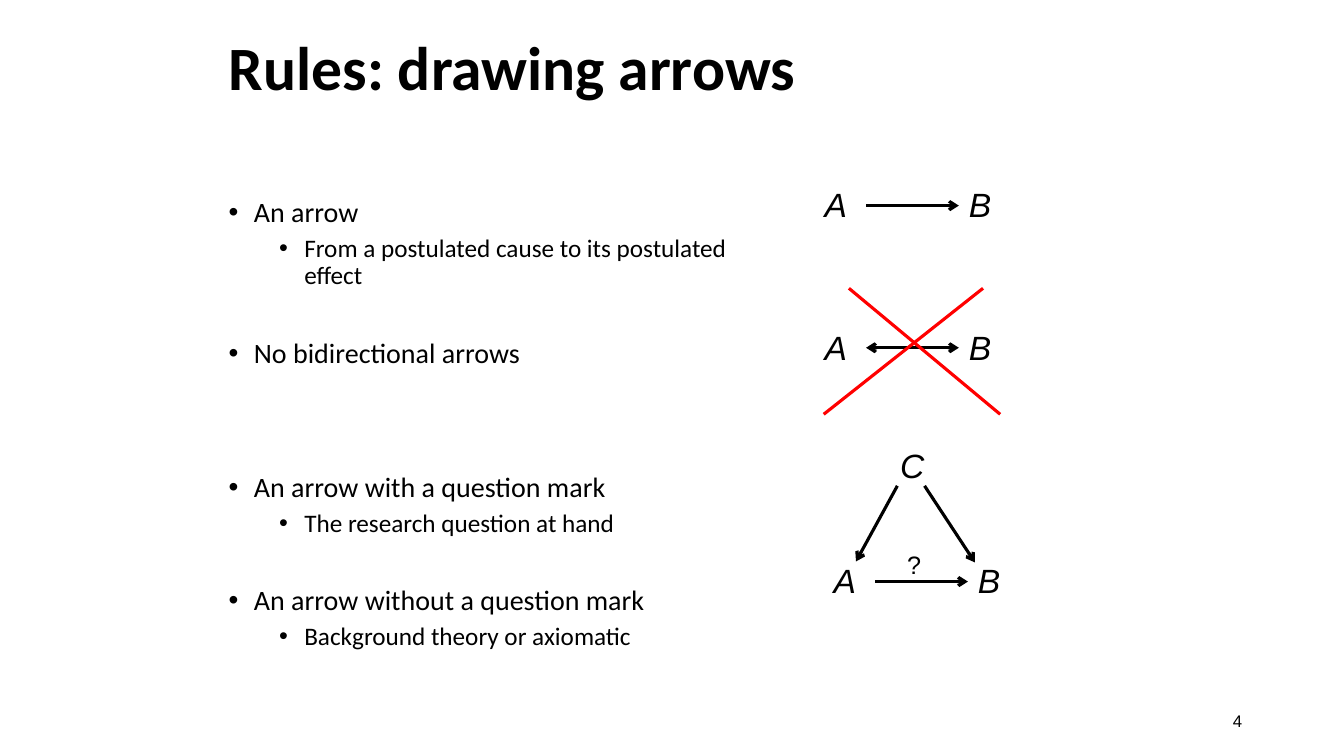
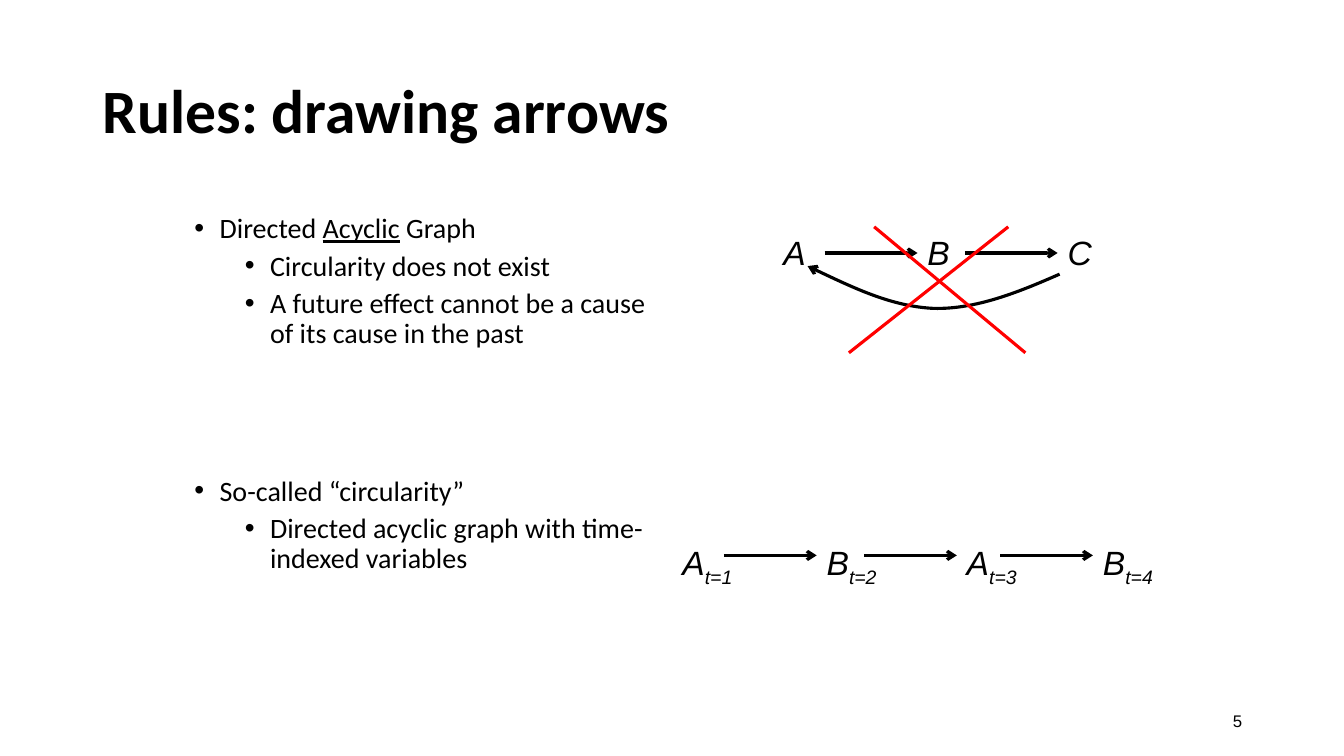
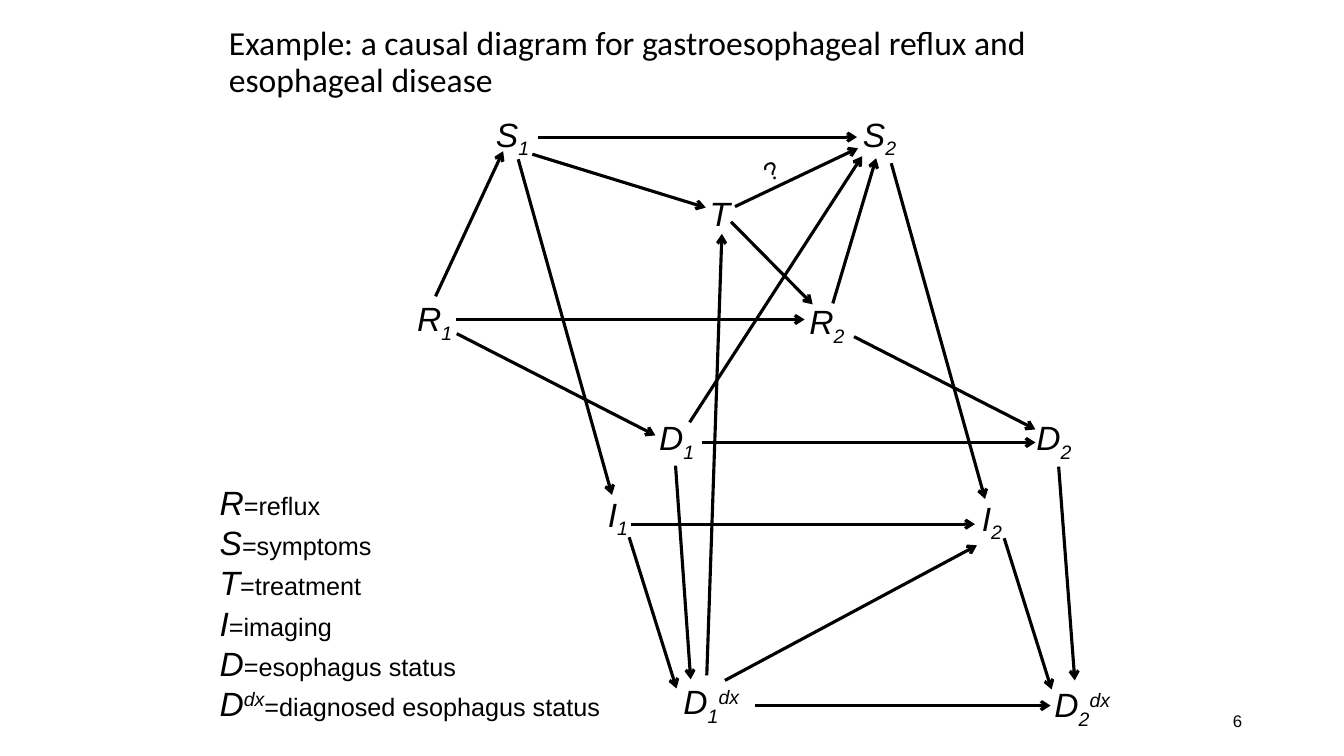
from dataclasses import dataclass
from lxml import etree
from pptx import Presentation
from pptx.dml.color import RGBColor
from pptx.enum.shapes import MSO_CONNECTOR
from pptx.enum.text import MSO_ANCHOR, MSO_AUTO_SIZE, PP_ALIGN
from pptx.oxml.ns import qn
from pptx.util import Inches, Pt

LEFT, RIGHT = PP_ALIGN.LEFT, PP_ALIGN.RIGHT
TOP, MIDDLE = MSO_ANCHOR.TOP, MSO_ANCHOR.MIDDLE
FIXED, GROW = MSO_AUTO_SIZE.NONE, MSO_AUTO_SIZE.SHAPE_TO_FIT_TEXT
STRAIGHT = MSO_CONNECTOR.STRAIGHT


@dataclass(frozen=True)
class Theme:
    ink: RGBColor = RGBColor(0, 0, 0)
    red: RGBColor = RGBColor(255, 0, 0)
    head: str = "Calibri"
    plain: str = "Arial"
    title: int = 44
    node: int = 24
    body: int = 20
    note: int = 18
    foot: int = 12
    stroke: float = 2.25
    pitch: float = 0.9


THEME = Theme()
SUB = {"shift": -25}
SUP = {"shift": 30}


def write(frame, *lines, size, font=THEME.plain, bold=False, italic=False,
          align=LEFT, anchor=TOP, wrap=False, pitch=None):
    frame.word_wrap = wrap
    frame.auto_size = FIXED if wrap else GROW
    frame.vertical_anchor = anchor
    for index, line in enumerate(lines):
        para = frame.add_paragraph() if index else frame.paragraphs[0]
        para.alignment = align
        if pitch:
            para.line_spacing = pitch
        for words, style in [(line, {})] if isinstance(line, str) else line:
            run = para.add_run()
            run.text = words
            run.font.name = font
            run.font.size = Pt(style.get("size", size))
            run.font.bold = bold
            run.font.italic = style.get("italic", italic)
            run.font.underline = style.get("under", False)
            run.font.color.rgb = THEME.ink
            if "shift" in style:
                run.font._element.set("baseline", str(style["shift"] * 1000))
    return frame.paragraphs


def box(slide, x, y, wide, high, *lines, **style):
    shape = slide.shapes.add_textbox(*map(Inches, (x, y, wide, high)))
    write(shape.text_frame, *lines, **style)
    return shape


def stroke(shape, color=THEME.ink, ends=()):
    shape.line.color.rgb = color
    shape.line.width = Pt(THEME.stroke)
    props = shape._element.spPr
    for end in ends:
        etree.SubElement(props.find(qn("a:ln")), qn("a:" + end), type="arrow")
    if props.find(qn("a:effectLst")) is None:
        etree.SubElement(props, qn("a:effectLst"))


def rule(slide, x1, y1, x2, y2, color=THEME.ink, ends=("tailEnd",)):
    line = slide.shapes.add_connector(STRAIGHT, *map(Inches, (x1, y1, x2, y2)))
    stroke(line, color, ends)


def cross(slide, x, y):
    rule(slide, x + 0.25, y, x + 1.75, y + 1.25, THEME.red, ())
    rule(slide, x + 1.58, y, x, y + 1.25, THEME.red, ())


def node(slide, x, y, name, sub="", sup="", wide=0.42):
    runs = [(name, {}), (sub, SUB), (sup, SUP)]
    box(slide, x, y, wide, 0.51, [run for run in runs if run[0]],
        size=THEME.node, italic=True)


def chain(slide, y, names, places, drop=0.26, wide=0.42, ends=("tailEnd",)):
    for name, x in zip(names, places):
        node(slide, x, y, *name, wide=wide)
    for x in places[1:]:
        rule(slide, x - 0.92, y + drop, x, y + drop, ends=ends)


def query(slide, x, y, turn=0):
    mark = box(slide, x, y, 0.34, 0.4, "?", size=THEME.note)
    mark.rotation = turn


def page(deck, number, title, x, y, wide, high, size=THEME.title, bold=True):
    slide = deck.slides.add_slide(deck.slide_layouts[5])
    head = slide.shapes.title
    head.left, head.top, head.width, head.height = map(Inches, (x, y, wide, high))
    write(head.text_frame, title, size=size, font=THEME.head, bold=bold,
          anchor=MIDDLE, wrap=True, pitch=THEME.pitch)
    box(slide, 9.42, 6.95, 3, 0.4, str(number), size=THEME.foot,
        align=RIGHT, anchor=MIDDLE, wrap=True)
    return slide


def outline(slide, x, y, wide, high, items, small):
    lines = []
    for level, gap, words in items:
        runs = [(words, {})] if isinstance(words, str) else words
        size = small if level else THEME.body
        lines.append([(part, {"size": size, **style}) for part, style in runs])
    shape = box(slide, x, y, wide, high, *lines, size=THEME.body,
                font=THEME.head, wrap=True, pitch=THEME.pitch)
    for (level, gap, words), para in zip(items, shape.text_frame.paragraphs):
        para.level = level
        para.space_before = Pt(gap)
        props = para._p.get_or_add_pPr()
        props.set("marL", str(Inches(0.25 + 0.5 * level)))
        props.set("indent", str(Inches(-0.25)))
        etree.SubElement(props, qn("a:buFont"), typeface=THEME.plain)
        etree.SubElement(props, qn("a:buChar"), char="•")


def bend(slide, x, y):
    spots = [(2.09, 0.26), (1.67, 0.43), (1.25, 0.42),
             (0.84, 0.4), (0.42, 0.2), (0, 0)]
    points = [(Inches(x + dx), Inches(y + dy)) for dx, dy in spots]
    form = slide.shapes.build_freeform(Inches(x + 2.5), Inches(y + 0.08))
    form.add_line_segments(points, close=False)
    shape = form.convert_to_shape()
    shape.shadow.inherit = False
    shape.fill.background()
    track = next(shape._element.iter(qn("a:path")))
    steps = track.findall(qn("a:lnTo"))
    for start in range(0, len(steps), 3):
        curve = etree.SubElement(track, qn("a:cubicBezTo"))
        for step in steps[start:start + 3]:
            curve.append(step[0])
            track.remove(step)
    stroke(shape, ends=("tailEnd",))


def fork(slide, x, y):
    chain(slide, y + 1.15, "AB", (x, x + 1.43))
    node(slide, x + 0.66, y, "C", wide=0.44)
    rule(slide, x + 0.73, y + 0.46, x + 0.32, y + 1.21)
    rule(slide, x + 1, y + 0.46, x + 1.5, y + 1.22)
    query(slide, x + 0.73, y + 1.04)


def graph(slide, x, y):
    nodes = [
        (0.04, 1.91, 0.57, "R", "1"), (3.93, 1.94, 0.57, "R", "2"),
        (0.82, 0.08, 0.55, "S", "1"), (4.46, 0.08, 0.55, "S", "2"),
        (2.44, 3.09, 0.57, "D", "1"), (6.18, 3.09, 0.57, "D", "2"),
        (1.93, 3.85, 0.42, "I", "1"), (5.64, 3.89, 0.42, "I", "2"),
        (2.68, 5.71, 0.81, "D", "1", "dx"), (6.36, 5.74, 0.81, "D", "2", "dx"),
        (2.94, 0.86, 0.41, "T"),
    ]
    arrows = [
        (0.32, 1.94, 0.99, 0.5), (1.14, 0.58, 2.07, 3.91),
        (0.53, 2.31, 2.5, 3.32), (3.25, 1.2, 4.06, 2.02),
        (2.7, 3.62, 2.85, 5.74), (2.24, 4.33, 2.71, 5.83),
        (3.49, 6, 6.42, 6), (3.19, 5.75, 5.69, 4.41),
        (4.26, 2.01, 4.69, 0.57), (1.34, 0.36, 4.5, 0.36),
        (0.52, 2.17, 3.98, 2.17), (1.28, 0.53, 3, 1.06),
        (2.96, 3.39, 6.27, 3.39), (4.47, 2.34, 6.27, 3.26),
        (2.26, 4.2, 5.67, 4.2), (4.84, 0.62, 5.77, 3.95),
        (5.96, 4.34, 6.43, 5.84), (6.5, 3.63, 6.66, 5.75),
        (3.01, 5.7, 3.16, 1.32), (3.29, 1.05, 4.51, 0.47),
        (2.84, 3.19, 4.55, 0.55),
    ]
    for dx, dy, wide, *name in nodes:
        node(slide, x + dx, y + dy, *name, wide=wide)
    for x1, y1, x2, y2 in arrows:
        rule(slide, x + x1, y + y1, x + x2, y + y2)
    query(slide, x + 3.48, y + 0.49, 332.8)


def legend(slide, x, y, wide, high):
    terms = [("R", "", "reflux"), ("S", "", "symptoms"), ("T", "", "treatment"),
             ("I", "", "imaging"), ("D", "", "esophagus status"),
             ("D", "dx", "diagnosed esophagus status")]
    lines = []
    for name, sup, sense in terms:
        mark = [(sup, SUP)] if sup else []
        sense = ("=" + sense, {"size": THEME.note, "italic": False})
        lines.append([(name, {}), *mark, sense])
    box(slide, x, y, wide, high, *lines, size=THEME.node, italic=True)


def arrows(deck):
    slide = page(deck, 4, "Rules: drawing arrows", 2.17, 0.08, 9, 1.25)
    outline(slide, 2.17, 1.92, 5.33, 5, [
        (0, 10, "An arrow"),
        (1, 5, "From a postulated cause to its postulated effect"),
        (0, 35, "No bidirectional arrows"),
        (0, 74, "An arrow with a question mark"),
        (1, 5, "The research question at hand"),
        (0, 35, "An arrow without a question mark"),
        (1, 5, "Background theory or axiomatic"),
    ], THEME.note)
    chain(slide, 1.78, "AB", (8.08, 9.51))
    chain(slide, 3.19, "AB", (8.08, 9.51), ends=("headEnd", "tailEnd"))
    cross(slide, 8.17, 2.86)
    fork(slide, 8.17, 4.36)


def cycles(deck):
    slide = page(deck, 5, "Rules: drawing arrows", 0.92, 0.4, 11.5, 1.45)
    outline(slide, 1.83, 2.08, 4.92, 4.75, [
        (0, 10, [("Directed ", {}), ("Acyclic", {"under": True}), (" Graph", {})]),
        (1, 5, "Circularity does not exist"),
        (1, 5, "A future effect cannot be a cause of its cause in the past"),
        (0, 91, "So-called “circularity”"),
        (1, 5, "Directed acyclic graph with time-indexed variables"),
    ], THEME.body)
    chain(slide, 2.25, "ABC", (7.67, 9.1, 10.49))
    bend(slide, 8.01, 2.64)
    cross(slide, 8.42, 2.25)
    times = [(name, f"t={step}") for step, name in enumerate("ABAB", 1)]
    chain(slide, 5.33, times, (6.67, 8.1, 9.49, 10.84), drop=0.18, wide=0.74)


def example(deck):
    title = ("Example: a causal diagram for gastroesophageal reflux "
             "and esophageal disease")
    slide = page(deck, 6, title, 2.17, 0, 9, 1.25, THEME.node, False)
    graph(slide, 4, 1)
    legend(slide, 2.08, 4.73, 4.04, 2.52)


deck = Presentation()
deck.slide_width, deck.slide_height = Inches(13.33), Inches(7.5)
arrows(deck)
cycles(deck)
example(deck)
deck.save("out.pptx")
